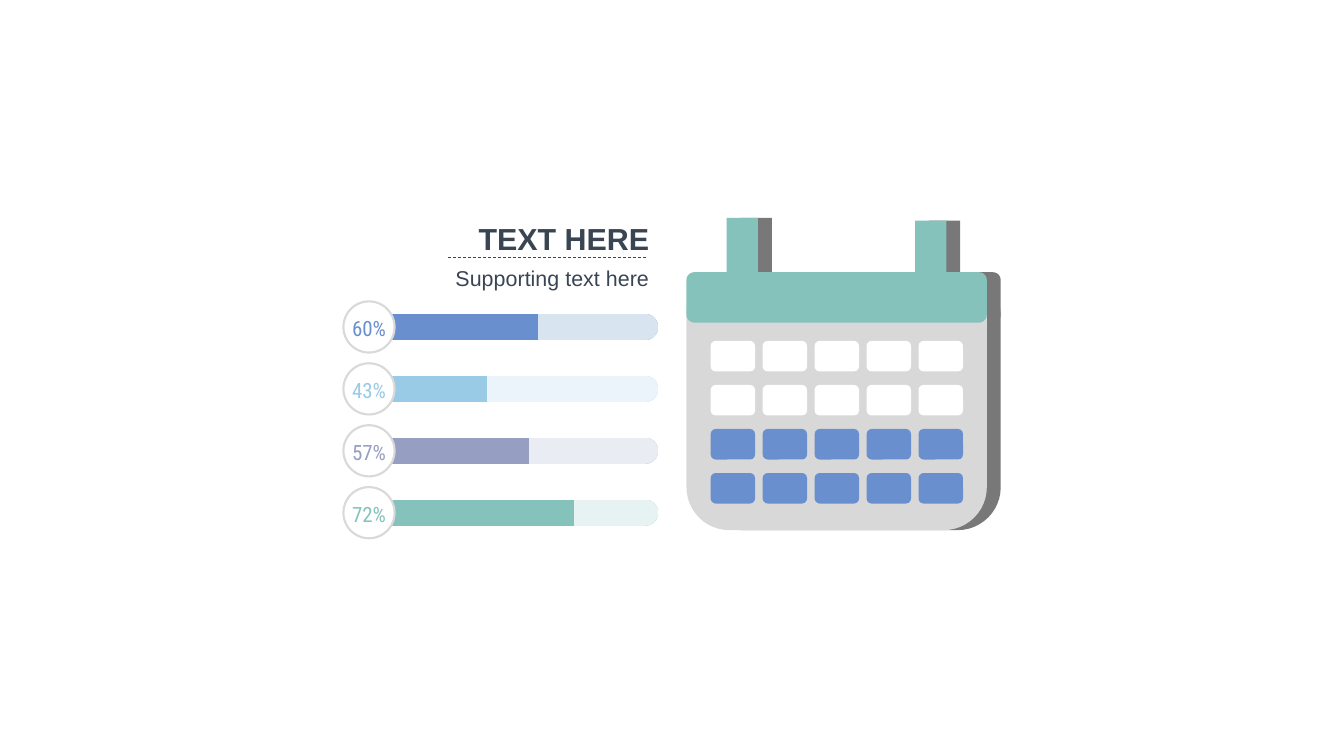
"""Build a slide with four progress bars beside a calendar."""
from copy import deepcopy
from dataclasses import dataclass
from itertools import product
from math import cos, pi, sin

from lxml.etree import SubElement
from pptx import Presentation
from pptx.dml.color import RGBColor
from pptx.enum.dml import MSO_LINE
from pptx.enum.shapes import MSO_CONNECTOR, MSO_SHAPE
from pptx.enum.text import MSO_ANCHOR, MSO_AUTO_SIZE, PP_ALIGN
from pptx.oxml.ns import qn
from pptx.util import Cm, Pt

TITLE = "TEXT HERE"
SUPPORT = "Supporting text here"
BARS = [
    (60, "698FCE", "D8E4F0"),
    (43, "99CAE6", "EBF4FA"),
    (57, "969EC2", "EAECF3"),
    (72, "85C2BC", "E7F3F2"),
]
WEEK_COLORS = ["FFFFFF", "FFFFFF", "698FCE", "698FCE"]
WEEK_DAYS = 5
HANGERS = [(1.01, 1.37), (5.76, 1.3)]


@dataclass(frozen=True)
class Theme:
    """Colours, fonts and type sizes."""
    ink: str = "3A4554"
    white: str = "FFFFFF"
    ring: str = "D9D9D9"
    page: str = "D8D8D8"
    shade: str = "787878"
    header: str = "85C2BC"
    font: str = "Arial"
    number_font: str = "Roboto Condensed"
    title_size: float = 21.7
    support_size: float = 15.3
    number_size: float = 15


THEME = Theme()
CALENDAR_LEFT, CALENDAR_TOP, CALENDAR_WIDTH, CALENDAR_HEIGHT = 17.3, 6.86, 7.57, 6.5
SHADE_OFFSET = 0.35
HEADER_HEIGHT, HEADER_RADIUS, HANGER_WIDTH = 1.27, 0.2, 0.79
DAY_LEFT, DAY_TOP, DAY_WIDTH, DAY_HEIGHT = 17.91, 8.59, 1.12, 0.77
DAY_STEP, WEEK_STEP = 1.31, 1.11
BAR_LEFT, BAR_WIDTH, BAR_HEIGHT = 9.0, 7.59, 0.66
BAR_MIDDLE, BAR_STEP = 8.24, 1.56
RING_MIDDLE, RING_SIZE = 9.3, 1.29
LABEL_WIDTH, LABEL_HEIGHT, LABEL_DROP = 0.91, 0.63, 0.03


def color(value):
    return RGBColor.from_string(value)


def set_values(target, values):
    for name, value in values.items():
        setattr(target, name, value)


def paint(shape, fill):
    shape.shadow.inherit = False
    shape.line.fill.background()
    shape.fill.solid()
    shape.fill.fore_color.rgb = color(fill)
    return shape


def add_shape(slide, kind, left, top, width, height, fill):
    shape = slide.shapes.add_shape(kind, Cm(left), Cm(top), Cm(width), Cm(height))
    return paint(shape, fill)


def write_text(shape, text, size, ink, font, align, anchor, margins=(0, 0), bold=False):
    side, end = map(Cm, margins)
    frame = shape.text_frame
    set_values(frame, {
        "text": text, "word_wrap": False, "auto_size": MSO_AUTO_SIZE.NONE,
        "vertical_anchor": anchor, "margin_left": side, "margin_right": side,
        "margin_top": end, "margin_bottom": end,
    })
    paragraph = frame.paragraphs[0]
    paragraph.alignment = align
    run_font = paragraph.runs[0].font
    set_values(run_font, {"name": font, "size": Pt(size), "bold": bold})
    run_font.color.rgb = color(ink)


def add_heading(slide):
    title = slide.shapes.title
    set_values(title, {"left": Cm(11.58), "top": Cm(5.49), "width": Cm(5.03), "height": Cm(1.04)})
    support = slide.shapes.add_textbox(Cm(11.58), Cm(6.55), Cm(5.03), Cm(0.76))
    for shape, text, size, anchor, bold in (
        (title, TITLE, THEME.title_size, MSO_ANCHOR.MIDDLE, True),
        (support, SUPPORT, THEME.support_size, MSO_ANCHOR.TOP, False),
    ):
        write_text(shape, text, size, THEME.ink, THEME.font, PP_ALIGN.RIGHT,
                   anchor, (0.25, 0.13), bold)
    rule = slide.shapes.add_connector(
        MSO_CONNECTOR.STRAIGHT, Cm(11.3), Cm(6.48), Cm(16.33), Cm(6.48))
    set_values(rule.line, {"width": Pt(0.5), "dash_style": MSO_LINE.DASH})
    rule.line.color.rgb = color(THEME.ink)
    SubElement(rule._element.spPr, qn("a:effectLst"))


def split_fill(shape, percent, strong, pale):
    shape.fill.gradient()
    shape.fill.gradient_angle = 0
    stop_list = shape._element.spPr.find(".//" + qn("a:gsLst"))
    stop_list.extend([deepcopy(stop) for stop in stop_list])
    share = percent / 100
    stops = [(0, strong), (share, strong), (share, pale), (1, pale)]
    for stop, (position, value) in zip(shape.fill.gradient_stops, stops):
        stop.position = position
        stop.color.rgb = color(value)


def add_bar(slide, middle, percent, strong, pale):
    bar = add_shape(slide, MSO_SHAPE.ROUNDED_RECTANGLE, BAR_LEFT, middle - BAR_HEIGHT / 2,
                    BAR_WIDTH, BAR_HEIGHT, pale)
    bar.adjustments[0] = 0.5
    split_fill(bar, percent, strong, pale)
    ring = add_shape(slide, MSO_SHAPE.OVAL, RING_MIDDLE - RING_SIZE / 2,
                     middle - RING_SIZE / 2, RING_SIZE, RING_SIZE, THEME.white)
    ring.line.color.rgb = color(THEME.ring)
    ring.line.width = Pt(1.5)
    label = slide.shapes.add_textbox(
        Cm(RING_MIDDLE - LABEL_WIDTH / 2), Cm(middle + LABEL_DROP - LABEL_HEIGHT / 2),
        Cm(LABEL_WIDTH), Cm(LABEL_HEIGHT))
    write_text(label, f"{percent}%", THEME.number_size, strong, THEME.number_font,
               PP_ALIGN.CENTER, MSO_ANCHOR.MIDDLE)


def corner(x, y, start, steps=6):
    angles = [start + pi / 2 * step / steps for step in range(steps + 1)]
    return [(x + HEADER_RADIUS * cos(angle), y + HEADER_RADIUS * sin(angle)) for angle in angles]


def add_header(slide, left, fill):
    top, right, bottom = CALENDAR_TOP, left + CALENDAR_WIDTH, CALENDAR_TOP + HEADER_HEIGHT
    points = []
    for offset, rise in HANGERS:
        start, end = left + offset, left + offset + HANGER_WIDTH
        points += [(start, top), (start, top - rise), (end, top - rise), (end, top)]
    near_left, near_right = left + HEADER_RADIUS, right - HEADER_RADIUS
    near_top, near_bottom = top + HEADER_RADIUS, bottom - HEADER_RADIUS
    points += corner(near_right, near_top, -pi / 2) + corner(near_right, near_bottom, 0)
    points += corner(near_left, near_bottom, pi / 2) + corner(near_left, near_top, pi)
    first, *rest = [(Cm(x), Cm(y)) for x, y in points]
    builder = slide.shapes.build_freeform(*first)
    builder.add_line_segments(rest, close=True)
    paint(builder.convert_to_shape(), fill)


def add_page(slide, left, fill):
    add_shape(slide, MSO_SHAPE.ROUNDED_RECTANGLE, left, CALENDAR_TOP,
              CALENDAR_WIDTH, CALENDAR_HEIGHT, fill)


def add_calendar(slide):
    shade_left = CALENDAR_LEFT + SHADE_OFFSET
    add_page(slide, shade_left, THEME.shade)
    add_header(slide, shade_left, THEME.shade)
    add_page(slide, CALENDAR_LEFT, THEME.page)
    for (week, fill), day in product(enumerate(WEEK_COLORS), range(WEEK_DAYS)):
        add_shape(slide, MSO_SHAPE.ROUNDED_RECTANGLE, DAY_LEFT + day * DAY_STEP,
                  DAY_TOP + week * WEEK_STEP, DAY_WIDTH, DAY_HEIGHT, fill)
    add_header(slide, CALENDAR_LEFT, THEME.header)


presentation = Presentation()
set_values(presentation, {"slide_width": Cm(33.87), "slide_height": Cm(19.05)})
slide = presentation.slides.add_slide(presentation.slide_layouts.get_by_name("Title Only"))
add_calendar(slide)
for row, bar_values in enumerate(BARS):
    add_bar(slide, BAR_MIDDLE + row * BAR_STEP, *bar_values)
add_heading(slide)
presentation.save("out.pptx")
